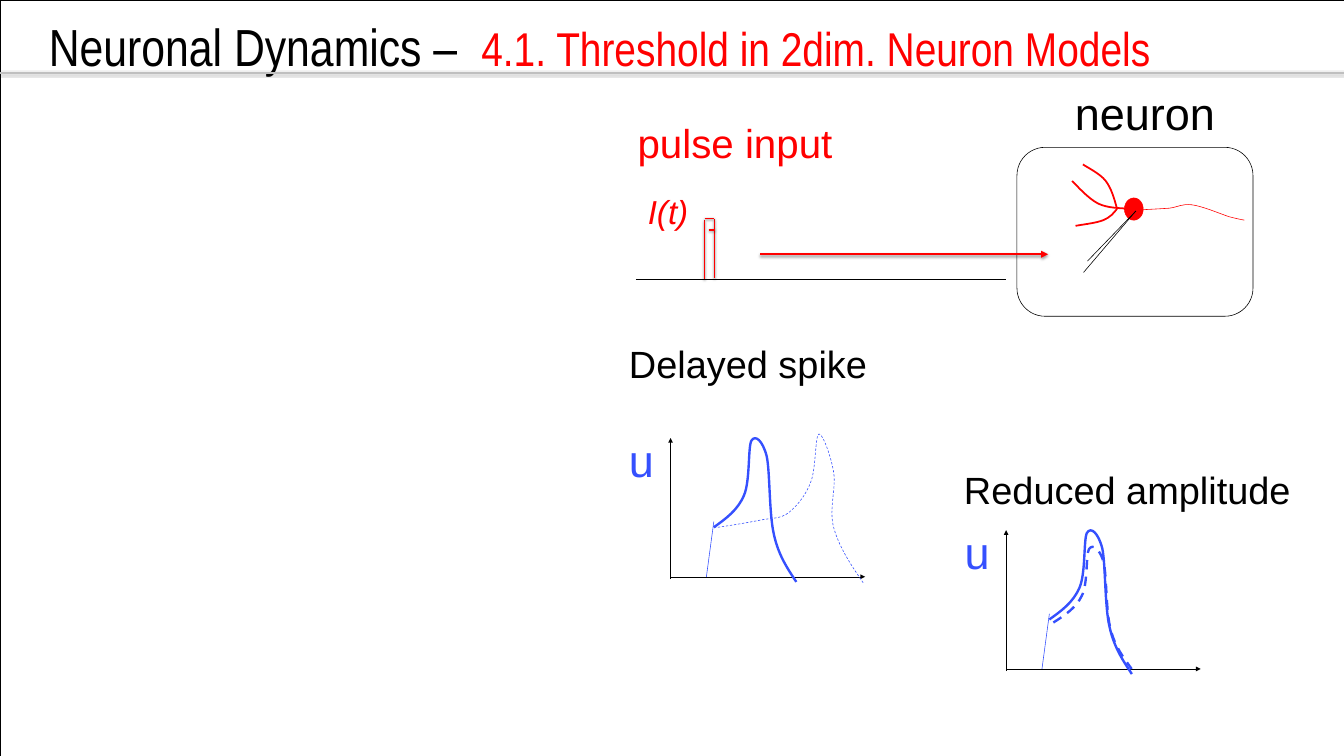
from lxml.etree import SubElement
from pptx import Presentation
from pptx.dml.color import RGBColor
from pptx.enum.dml import MSO_LINE
from pptx.enum.shapes import MSO_CONNECTOR, MSO_SHAPE as SHAPE
from pptx.enum.text import MSO_AUTO_SIZE as AUTO_SIZE
from pptx.oxml.ns import qn
from pptx.util import Inches, Pt

WIDTH, HEIGHT = 23.63, 13.29
BLACK, RED, BLUE, GRAY = "000000", "FF0000", "3550FE", "BFBFBF"

TITLE_AT = (0.76, 0.2, 22.81, 1.61)
TITLE = [
    ("Neuronal Dynamics –  ", dict(size=66, name="Arial Narrow", color=BLACK)),
    ("4.1. Threshold in 2dim. Neuron Models",
     dict(size=60, name="Arial Narrow", color=RED)),
]

# text, box, size, colour, italic, wrap, (side inset, top inset)
ROOMY, TIGHT = (0.21, 0.11), (0.1, 0.05)
LABELS = [
    ("pulse input", (11, 1.97, 3.89, 1.07), 51, RED, False, False, ROOMY),
    ("I(t)", (11.18, 3.25, 1.14, 0.92), 42, RED, True, False, ROOMY),
    (" neuron", (18.58, 1.45, 3.9, 1.06), 57, BLACK, False, True, TIGHT),
    ("Delayed spike", (10.96, 5.93, 4.43, 0.91), 48, BLACK, False, False, TIGHT),
    ("Reduced amplitude", (16.85, 8.16, 6.01, 0.91), 48, BLACK, False, False, TIGHT),
]

# Curves: a start point, then two control points and an end point per segment
AXON = [(20.03, 3.69), (20.22, 3.68), (20.41, 3.67), (20.56, 3.66),
        (20.71, 3.64), (20.78, 3.58), (20.95, 3.6),
        (21.13, 3.62), (21.46, 3.76), (21.61, 3.81),
        (21.77, 3.85), (21.82, 3.86), (21.88, 3.87)]
DENDRITES = [
    [(19.9, 3.67), (19.69, 3.66), (19.48, 3.66), (19.31, 3.58),
     (19.13, 3.49), (18.92, 3.25), (18.85, 3.18)],
    [(19.64, 3.67), (19.58, 3.75), (19.52, 3.82), (19.4, 3.87),
     (19.27, 3.92), (19.09, 3.94), (18.91, 3.97)],
    [(19.64, 3.67), (19.59, 3.49), (19.54, 3.31), (19.44, 3.18),
     (19.34, 3.05), (19.11, 2.94), (19.04, 2.89)],
]
SOMA = (19.77, 3.48, 0.33, 0.39)
CELL_FRAME = (17.88, 2.59, 4.15, 2.97)
ELECTRODE_TIP = (19.97, 3.71)
ELECTRODE_ENDS = [(19.05, 4.79), (19.12, 4.59)]

# Pulse strokes: start, end, dash
PULSE = [((12.39, 3.87), (12.39, 4.91), None),
         ((12.56, 3.85), (12.56, 4.89), None),
         ((12.39, 3.84), (12.56, 3.84), None),
         ((12.46, 4.04), (12.62, 4.04), MSO_LINE.DASH)]

# Voltage plots: positions in the first plot, and how far each plot is moved
PLOT_OFFSETS = [(0, 0), (5.9, 1.62)]
SPIKE = [(12.55, 9.27), (12.76, 9.12), (12.97, 8.97), (13.08, 8.71),
         (13.19, 8.46), (13.15, 7.86), (13.21, 7.75),
         (13.28, 7.63), (13.41, 7.75), (13.48, 8.02),
         (13.54, 8.3), (13.52, 9.04), (13.61, 9.41),
         (13.69, 9.77), (13.85, 10), (14, 10.23)]
DELAYED = [(12.55, 9.28), (12.84, 9.24), (13.13, 9.19), (13.34, 9.15),
           (13.56, 9.1), (13.72, 9.13), (13.87, 9.01),
           (14.02, 8.89), (14.18, 8.69), (14.26, 8.46),
           (14.35, 8.22), (14.33, 7.65), (14.4, 7.63),
           (14.46, 7.61), (14.62, 8.04), (14.66, 8.32),
           (14.7, 8.6), (14.57, 8.96), (14.66, 9.28),
           (14.75, 9.61), (14.96, 9.93), (15.18, 10.25)]
REDUCED = [(18.52 + (x - 12.55) * 0.95, 9.55 + (y - 7.63) * 0.85)
           for x, y in SPIKE]

prs = Presentation()
prs.slide_width, prs.slide_height = Inches(WIDTH), Inches(HEIGHT)
slide = prs.slides.add_slide(prs.slide_layouts[6])


def rgb(color):
    return RGBColor.from_string(color)


def style_line(line, color, width, dash=None):
    line.color.rgb = rgb(color)
    line.width = Pt(width)
    if dash:
        line.dash_style = dash


def add_line(start, end, color=BLACK, width=0.75, dash=None, arrow=False,
             shadow=False, shapes=slide.shapes):
    line = shapes.add_connector(MSO_CONNECTOR.STRAIGHT,
                                *map(Inches, (*start, *end)))
    style_line(line.line, color, width, dash)
    properties = line._element.spPr
    if arrow:
        SubElement(properties.find(qn("a:ln")), qn("a:tailEnd"), type="triangle")
    effects = SubElement(properties, qn("a:effectLst"))
    if shadow:
        outer = SubElement(effects, qn("a:outerShdw"), blurRad=str(Pt(3.1)),
                           dist=str(Pt(1.6)), dir="5400000", rotWithShape="0")
        tint = SubElement(outer, qn("a:srgbClr"), val=BLACK)
        SubElement(tint, qn("a:alpha"), val="38000")


def add_outline(kind, box, color=BLACK, fill=None, shapes=slide.shapes):
    shape = shapes.add_shape(kind, *map(Inches, box))
    shape.shadow.inherit = False
    if fill:
        shape.fill.solid()
        shape.fill.fore_color.rgb = rgb(fill)
    else:
        shape.fill.background()
    style_line(shape.line, color, 0.75)


def add_curve(points, color, width, dash=None, shapes=slide.shapes):
    """Draw a freeform whose line segments are joined by threes into cubics."""
    start, *rest = [tuple(map(Inches, point)) for point in points]
    builder = shapes.build_freeform(*start)
    builder.add_line_segments(rest, close=False)
    curve = builder.convert_to_shape()
    outline = next(curve._element.iter(qn("a:path")))
    segments = outline.findall(qn("a:lnTo"))
    for i in range(0, len(segments), 3):
        cubic = SubElement(outline, qn("a:cubicBezTo"))
        for segment in segments[i:i + 3]:
            cubic.append(segment[0])
            outline.remove(segment)
    curve.shadow.inherit = False
    curve.fill.background()
    style_line(curve.line, color, width, dash)


def add_text(box, runs, wrap=True, insets=TIGHT, grow=True):
    frame = slide.shapes.add_textbox(*map(Inches, box)).text_frame
    side, top = map(Inches, insets)
    layout = dict(word_wrap=wrap, margin_left=side, margin_right=side,
                  margin_top=top, margin_bottom=top,
                  auto_size=AUTO_SIZE.SHAPE_TO_FIT_TEXT if grow else AUTO_SIZE.NONE)
    for key, value in layout.items():
        setattr(frame, key, value)
    for text, look in runs:
        run = frame.paragraphs[0].add_run()
        run.text = text
        run.font.color.rgb = rgb(look["color"])
        for key, value in look.items():
            if key != "color":
                setattr(run.font, key, Pt(value) if key == "size" else value)


def add_plot(dx, dy):
    """Draw the axes, the label u, the initial jump and the full spike."""
    def at(x, y):
        return x + dx, y + dy

    add_line(at(11.79, 10.18), at(11.79, 7.7), arrow=True)
    add_line(at(11.79, 10.14), at(15.21, 10.14), arrow=True)
    add_text((*at(10.96, 7.55), 0.61, 1.06),
             [("u", dict(size=57, name="Arial", color=BLUE))])
    add_line(at(12.55, 9.17), at(12.42, 10.14), BLUE)
    add_curve([at(*point) for point in SPIKE], BLUE, 3)


add_outline(SHAPE.RECTANGLE, (0, 0, WIDTH, HEIGHT))
add_text(TITLE_AT, TITLE, grow=False)
add_line((0, 1.28), (WIDTH, 1.28), GRAY, 2, shadow=True)
for text, box, size, color, italic, wrap, insets in LABELS:
    look = dict(size=size, name="Arial", color=color, italic=italic)
    add_text(box, [(text, look)], wrap, insets)

neuron = slide.shapes.add_group_shape().shapes
add_outline(SHAPE.OVAL, SOMA, RED, RED, shapes=neuron)
add_curve(AXON, RED, 0.75, shapes=neuron)
for dendrite in DENDRITES:
    add_curve(dendrite, RED, 2.25, shapes=neuron)
for electrode_end in ELECTRODE_ENDS:
    add_line(electrode_end, ELECTRODE_TIP, shapes=neuron)
add_outline(SHAPE.ROUNDED_RECTANGLE, CELL_FRAME, shapes=neuron)

add_line((11.18, 4.91), (17.69, 4.91))
for start, end, dash in PULSE:
    add_line(start, end, RED, 2, dash, shadow=True)
add_line((13.37, 4.47), (18.43, 4.47), RED, 3, arrow=True, shadow=True)

for offset in PLOT_OFFSETS:
    add_plot(*offset)
add_curve(DELAYED, BLUE, 0.75, MSO_LINE.DASH)
add_curve(REDUCED, BLUE, 3, MSO_LINE.DASH)

prs.save("out.pptx")
